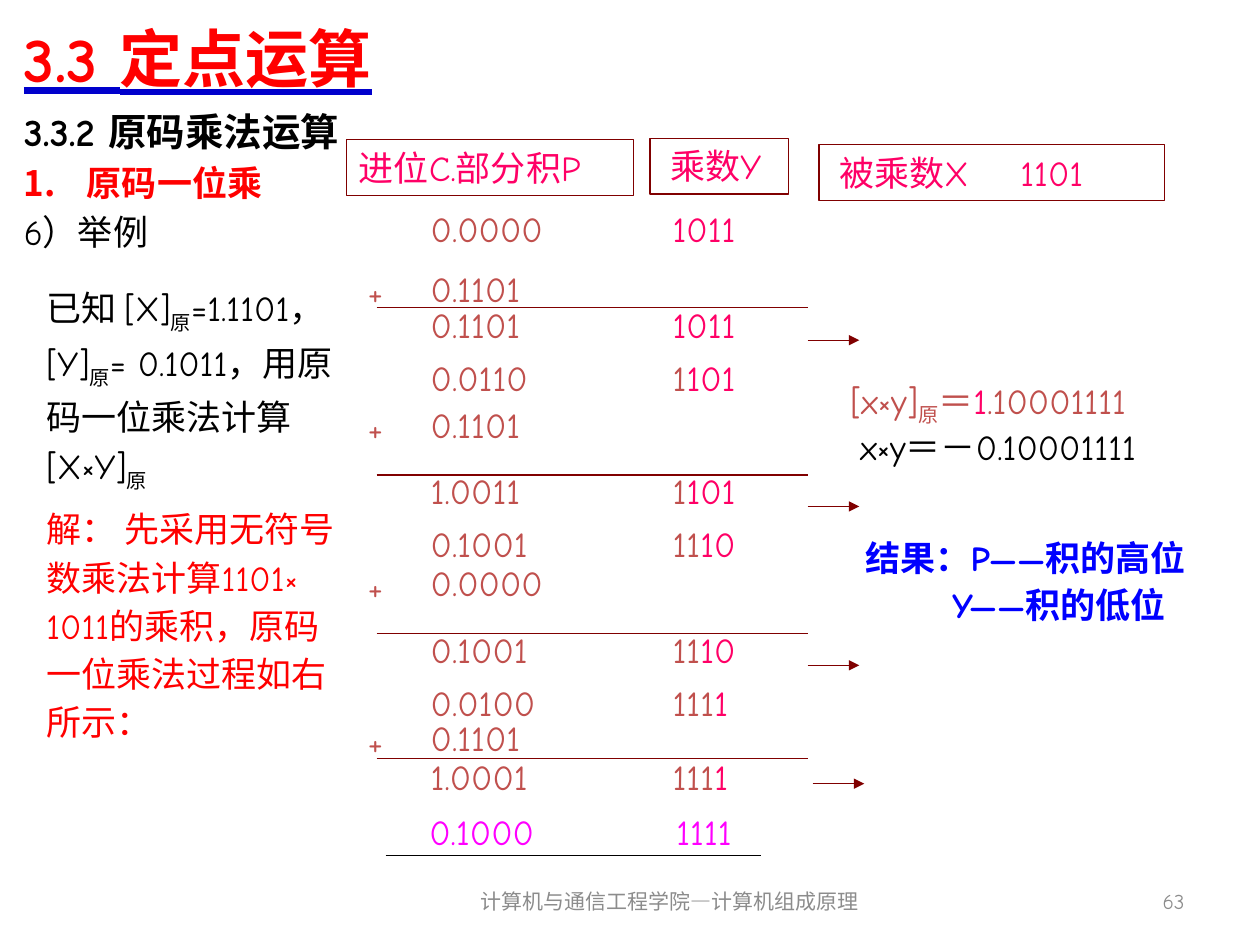
from dataclasses import dataclass

from lxml import etree
from pptx import Presentation
from pptx.dml.color import RGBColor
from pptx.enum.shapes import MSO_CONNECTOR, MSO_SHAPE
from pptx.enum.text import MSO_ANCHOR, MSO_UNDERLINE, PP_ALIGN
from pptx.oxml.ns import qn
from pptx.util import Inches, Pt

STRAIGHT = MSO_CONNECTOR.STRAIGHT
RECTANGLE = MSO_SHAPE.RECTANGLE
LEFT, CENTER, RIGHT = PP_ALIGN.LEFT, PP_ALIGN.CENTER, PP_ALIGN.RIGHT
TOP, MIDDLE = MSO_ANCHOR.TOP, MSO_ANCHOR.MIDDLE
HEAVY = MSO_UNDERLINE.HEAVY_LINE

FONT = "Comic Neue"
COLORS = {
    "red": "FF0000", "black": "000000", "gray": "8C8C8C", "maroon": "800000",
    "pink": "FF0066", "brick": "C0504D", "magenta": "FF00FF",
    "blue": "0000FF", "underline": "0000CC",
}
ROW_HEIGHT = 0.44
PARTIAL_X, MULTIPLIER_X, PLUS_X = 3.32, 5.24, 2.82
ADDEND_WIDTH = 1.13


@dataclass
class Run:
    text: str
    color: str = ""
    subscript: bool = False


@dataclass
class HeaderBox:
    text: str
    left: float
    top: float
    width: float
    tab: float = 0


@dataclass
class Step:
    addend: str
    addend_top: float
    rule_y: float
    total: str
    total_top: float
    shifted: str
    multiplier: str
    arrow_x: float = 6.41
    arrow_drop: float = 0.34


def rgb(name: str) -> RGBColor:
    return RGBColor.from_string(COLORS[name])


def write(paragraph, content, *, size=20, color="black", bold=False, align=LEFT,
          before=0, line_spacing=None, indent=0.0, hanging=0.0, bullet="buNone",
          tab=0.0):
    """Fill a paragraph with a string or a list of runs."""
    props = paragraph._p.get_or_add_pPr()
    props.set("marL", str(Inches(indent)))
    props.set("indent", str(Inches(-hanging)))
    mark = etree.SubElement(props, qn(f"a:{bullet}"))
    if bullet == "buAutoNum":
        mark.set("type", "arabicPeriod")
    if tab:
        stops = etree.SubElement(props, qn("a:tabLst"))
        etree.SubElement(stops, qn("a:tab"), pos=str(Inches(tab)), algn="l")
    paragraph.alignment = align
    paragraph.space_before = Pt(before)
    if line_spacing:
        paragraph.line_spacing = line_spacing
    for part in [Run(content)] if isinstance(content, str) else content:
        run = paragraph.add_run()
        run.text = part.text
        run.font.name, run.font.size, run.font.bold = FONT, Pt(size), bold
        run.font.color.rgb = rgb(part.color or color)
        if part.subscript:
            run._r.get_or_add_rPr().set("baseline", "-25000")


def add_text(slide, left: float, top: float, width: float, content, *,
             height=ROW_HEIGHT, anchor=TOP, **style):
    box = slide.shapes.add_textbox(Inches(left), Inches(top), Inches(width), Inches(height))
    frame = box.text_frame
    frame.word_wrap, frame.vertical_anchor = True, anchor
    write(frame.paragraphs[0], content, **style)
    return frame


def add_line(slide, x1: float, x2: float, y: float, color="maroon", arrow=False) -> None:
    line = slide.shapes.add_connector(STRAIGHT, Inches(x1), Inches(y), Inches(x2), Inches(y))
    line.line.color.rgb, line.line.width = rgb(color), Pt(0.75)
    if arrow:
        etree.SubElement(line.line._get_or_add_ln(), qn("a:tailEnd"), type="triangle")
    etree.SubElement(line._element.spPr, qn("a:effectLst"))


def add_header(slide, header: HeaderBox) -> None:
    box = slide.shapes.add_shape(RECTANGLE, Inches(header.left), Inches(header.top),
                                 Inches(header.width), Inches(ROW_HEIGHT))
    box.shadow.inherit = False
    box.fill.background()
    box.line.color.rgb, box.line.width = rgb("maroon"), Pt(0.75)
    box.text_frame.vertical_anchor = TOP
    write(box.text_frame.paragraphs[0], header.text, color="pink", tab=header.tab)


def add_registers(slide, top: float, partial: str, multiplier: str, product_digits: int) -> None:
    """Partial product and multiplier; product digits shifted in are brick."""
    add_text(slide, PARTIAL_X, top, 1.67, partial, color="brick")
    runs = [Run(multiplier[:product_digits], "brick"), Run(multiplier[product_digits:], "pink")]
    add_text(slide, MULTIPLIER_X, top, 1.67, [run for run in runs if run.text])


def place(shape, left: float, top: float, width: float, height: float) -> None:
    shape.left, shape.top = Inches(left), Inches(top)
    shape.width, shape.height = Inches(width), Inches(height)


HEADERS = [
    HeaderBox("进位C.部分积P", 2.75, 1.11, 2.28),
    HeaderBox(" 乘数Y", 5.16, 1.1, 1.1),
    HeaderBox(" 被乘数X\t1101", 6.5, 1.15, 2.74, tab=1.53),
]
STEPS = [
    Step("0.1101", 2.07, 2.44, "0.1101", 2.36, "0.0110", "1011"),
    Step("0.1101", 3.15, 3.77, "1.0011", 3.68, "0.1001", "1101"),
    Step("0.0000", 4.41, 5.03, "0.1001", 4.94, "0.0100", "1110"),
    Step("0.1101", 5.64, 6.02, "1.0001", 5.95, "0.1000", "1111", 6.45, 0.27),
]


def main() -> None:
    prs = Presentation()
    prs.slide_width, prs.slide_height = Inches(10), Inches(7.5)
    slide = prs.slides.add_slide(prs.slide_layouts[1])

    # Title with a heavy blue underline
    title = slide.shapes.title
    place(title, 0.09, 0.03, 9, 0.85)
    title.text_frame.vertical_anchor = MIDDLE
    heading = title.text_frame.paragraphs[0]
    write(heading, "3.3 定点运算", size=36, color="red", bold=True)
    heading.runs[0].font.underline = HEAVY
    stroke = etree.Element(qn("a:uFill"))
    fill = etree.SubElement(stroke, qn("a:solidFill"))
    etree.SubElement(fill, qn("a:srgbClr"), val=COLORS["underline"])
    heading.runs[0]._r.get_or_add_rPr().find(qn("a:latin")).addprevious(stroke)

    # Section outline
    outline = slide.placeholders[1]
    place(outline, 0.09, 0.81, 3.39, 1.5)
    frame = outline.text_frame
    write(frame.paragraphs[0], "3.3.2 原码乘法运算", size=22, bold=True)
    write(frame.add_paragraph(), "原码一位乘", color="red", bold=True, before=4,
          indent=0.5, hanging=0.5, bullet="buAutoNum")
    write(frame.add_paragraph(), "6）举例", before=4)

    # Footer and page number
    footer = {"height": 0.4, "anchor": MIDDLE, "size": 12, "color": "gray"}
    add_text(slide, 3.46, 6.95, 3.71, "计算机与通信工程学院—计算机组成原理", align=CENTER, **footer)
    add_text(slide, 7.17, 6.95, 2.33, "63", align=RIGHT, **footer)

    # Register headers and starting values
    for header in HEADERS:
        add_header(slide, header)
    add_registers(slide, 1.6, "0.0000", "1011", 0)

    # Add-and-shift steps
    for index, step in enumerate(STEPS):
        add_text(slide, PLUS_X, step.addend_top + 0.03, 0.34, "+", color="brick")
        add_text(slide, PARTIAL_X, step.addend_top, ADDEND_WIDTH, step.addend, color="brick")
        add_line(slide, 2.99, 6.41, step.rule_y)
        add_registers(slide, step.total_top, step.total, step.multiplier, index)
        add_line(slide, step.arrow_x, step.arrow_x + 0.41,
                 step.total_top + step.arrow_drop, arrow=True)
        if index + 1 < len(STEPS):
            add_registers(slide, step.total_top + 0.42, step.shifted,
                          STEPS[index + 1].multiplier, index + 1)

    # Final product
    add_text(slide, 3.31, 6.38, 1.67, STEPS[-1].shifted, color="magenta")
    add_text(slide, 5.27, 6.38, 1.67, "1111", color="magenta")
    add_line(slide, 3.06, 6.04, 6.79, color="black")

    # Results
    result_style = {"color": "blue", "bold": True, "line_spacing": 0.7}
    result = add_text(slide, 6.77, 4.3, 3.18, "结果：P——积的高位", height=0.74, **result_style)
    write(result.add_paragraph(), "Y——积的低位", before=10, indent=0.69, **result_style)
    sub = Run("原", subscript=True)
    add_text(slide, 6.65, 2.96, 2.96,
             [Run("[x×y]"), sub, Run("＝"), Run("1", "pink"), Run(".10001111")], color="brick")
    add_text(slide, 6.73, 3.33, 2.99, "x×y＝－0.10001111")

    # Problem and solution
    problem = add_text(slide, 0.27, 2.17, 2.6,
                       [Run("已知 [X]"), sub, Run("=1.1101， [Y]"), sub,
                        Run("= 0.1011，用原码一位乘法计算[X×Y]"), sub],
                       height=3.67, line_spacing=1.15)
    write(problem.add_paragraph(),
          "解： 先采用无符号数乘法计算1101× 1011的乘积，原码一位乘法过程如右所示：",
          color="red", before=5, line_spacing=1.15)

    prs.save("out.pptx")


if __name__ == "__main__":
    main()
